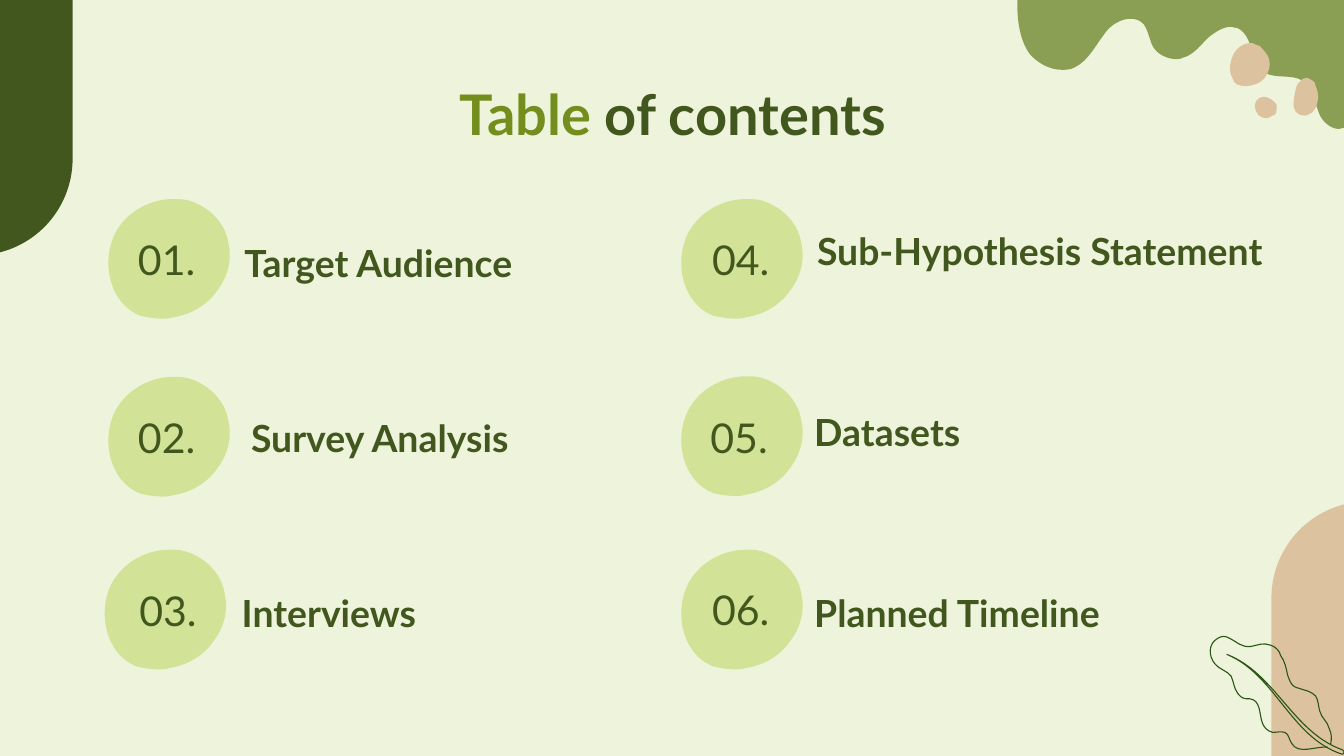
"""Build a table of contents slide with organic shapes."""
from pptx import Presentation
from pptx.dml.color import RGBColor
from pptx.enum.shapes import MSO_SHAPE
from pptx.enum.text import MSO_ANCHOR, MSO_AUTO_SIZE, PP_ALIGN
from pptx.oxml.ns import qn
from pptx.util import Pt

CREAM = RGBColor(0xEE, 0xF3, 0xDB)
DARK = RGBColor(0x41, 0x57, 0x1E)
MOSS = RGBColor(0x8A, 0x9F, 0x53)
SAND = RGBColor(0xDD, 0xC2, 0x9F)
LIME = RGBColor(0xD2, 0xE2, 0x96)
OLIVE = RGBColor(0x74, 0x8E, 0x1E)
PINE = RGBColor(0x2A, 0x57, 0x17)

UNIT = 0.72
INSET = Pt(7.2)
FRAME = {
    "word_wrap": True, "auto_size": MSO_AUTO_SIZE.NONE,
    "margin_left": INSET, "margin_right": INSET,
    "margin_top": INSET, "margin_bottom": INSET,
}
HEAD = {"name": "Lato", "size": Pt(30), "bold": True}
LABEL = {"name": "Lato", "size": Pt(20), "bold": True}
NUMBER = {"name": "Lato", "size": Pt(22), "bold": False}

WAVE = [
    (757, 4), (757, 16, 759, 30, 766, 40), (772, 47, 781, 52, 790, 52),
    (793, 52, 797, 52, 800, 50), (810, 45, 815, 34, 822, 25),
    (826, 19, 834, 14, 841, 14), (845, 14, 848, 15, 851, 18),
    (854, 22, 855, 28, 857, 33), (860, 40, 868, 44, 875, 44),
    (877, 44, 879, 44, 880, 43), (888, 41, 893, 34, 899, 28),
    (904, 24, 910, 20, 916, 20), (917, 20, 919, 21, 921, 21),
    (933, 27, 930, 46, 941, 54), (949, 59, 961, 55, 969, 60),
    (976, 65, 978, 75, 981, 83), (983, 90, 990, 96, 996, 96),
    (998, 96, 999, 96, 1001, 95), (1001, 0), (757, 0),
]
PEBBLES = [
    [(972, 58), (970, 58, 968, 59, 967, 61), (965, 63, 964, 65, 964, 67),
     (963, 72, 961, 79, 964, 83), (966, 85, 968, 86, 970, 86),
     (971, 86, 973, 86, 974, 85), (977, 84, 979, 81, 980, 77),
     (981, 74, 981, 70, 980, 67), (979, 65, 979, 63, 978, 61),
     (977, 60, 975, 59, 973, 58)],
    [(940, 72), (930, 73, 933, 88, 942, 88), (944, 88, 945, 87, 947, 86),
     (948, 86, 949, 85, 949, 85), (950, 83, 950, 80, 950, 78),
     (948, 75, 944, 72, 940, 72)],
    [(930, 32), (925, 32, 920, 36, 918, 40), (915, 46, 914, 53, 917, 58),
     (918, 63, 922, 64, 927, 64), (932, 64, 938, 62, 941, 58),
     (945, 53, 946, 46, 943, 41), (941, 38, 939, 36, 937, 34),
     (935, 34, 934, 33, 932, 32)],
]
LEAF = [
    (990, 554), (991, 550, 991, 546, 989, 542), (988, 537, 983, 534, 982, 529),
    (981, 526, 981, 521, 979, 518), (976, 515, 973, 514, 969, 513),
    (967, 512, 964, 512, 962, 510), (960, 508, 959, 505, 958, 502),
    (957, 497, 956, 492, 953, 488), (952, 484, 949, 481, 945, 480),
    (940, 478, 936, 480, 931, 481), (924, 482, 921, 478, 915, 475),
    (912, 473, 909, 473, 906, 475), (899, 479, 899, 488, 904, 494),
    (907, 498, 913, 499, 916, 503), (918, 507, 918, 512, 921, 516),
    (924, 520, 926, 520, 930, 520), (938, 521, 937, 531, 939, 537),
    (940, 541, 943, 544, 947, 545), (950, 545, 953, 544, 956, 545),
    (959, 546, 959, 550, 961, 553), (966, 562, 979, 555, 988, 556),
]
STEM = [
    (913, 487), (949, 502, 960, 548, 998, 561),
    (1000, 562, 1001, 559, 999, 558), (962, 545, 949, 501, 913, 487),
]
BLOB = [
    (54, 0), (36, 0, 19, 10, 11, 25), (0, 46, 6, 78, 30, 87),
    (35, 88, 40, 89, 45, 89), (48, 89, 51, 89, 54, 88),
    (67, 86, 79, 79, 86, 69), (94, 59, 98, 46, 95, 33),
    (93, 19, 82, 7, 68, 2), (63, 0, 59, 0, 54, 0),
]
ITEMS = [
    ("Target Audience", (54, 106.6), (61.9, 118.1), (123.8, 118.1), 238.3),
    ("Survey Analysis", (54, 201.9), (61.9, 213.1), (127.4, 211.7), 238.3),
    ("Interviews", (52, 294.5), (62.6, 306), (122.4, 305.3), 238.3),
    ("Sub-Hypothesis Statement", (360.9, 106.6), (369.4, 118.1), (430.6, 111.6), 295.9),
    ("Datasets", (360.9, 201.6), (368.6, 213.1), (429.1, 208.8), 238.3),
    ("Planned Timeline", (360.9, 294.5), (369.4, 305.3), (429.1, 305.3), 238.3),
]


def apply(item, form):
    """Set each attribute named in a format dict."""
    for key, value in form.items():
        setattr(item, key, value)


def paint(shape, fill=None, line=None):
    """Give a shape its fill and line without a shadow."""
    shape.shadow.inherit = False
    if fill is None:
        shape.fill.background()
    else:
        shape.fill.solid()
        shape.fill.fore_color.rgb = fill
    if line is None:
        shape.line.fill.background()
    else:
        shape.line.color.rgb = line
        shape.line.width = Pt(0.59)


def bend(shape, parts):
    """Turn the straight segments that have control points into curves."""
    nodes = list(shape._element.iter(qn("a:lnTo")))
    for node, part in zip(nodes, parts):
        if len(part) == 2:
            continue
        node.tag = qn("a:cubicBezTo")
        for index, (x, y) in enumerate(part[:2]):
            spot = {"x": str(x - shape.left), "y": str(y - shape.top)}
            node.insert(index, node.makeelement(qn("a:pt"), spot))


def add_form(slide, outline, fill=None, line=None, at=(0, 0), close=True):
    """Draw a curved outline moved to a place in points."""
    parts = [[(Pt(at[0] + UNIT * x), Pt(at[1] + UNIT * y))
              for x, y in zip(part[::2], part[1::2])] for part in outline]
    ends = [part[-1] for part in parts]
    pen = slide.shapes.build_freeform(*ends[0])
    pen.add_line_segments(ends[1:], close=close)
    shape = pen.convert_to_shape()
    bend(shape, [part if len(part) == 3 else part * 2 for part in parts[1:]])
    paint(shape, fill, line)


def add_arch(slide, left, top, fill, turn=0):
    """Draw a slab with two round corners."""
    arch = slide.shapes.add_shape(
        MSO_SHAPE.ROUND_2_SAME_RECTANGLE, Pt(left), Pt(top), Pt(106.6), Pt(138.2))
    arch.adjustments[0] = 0.486
    arch.rotation = turn
    paint(arch, fill)


def write(shape, runs, form, anchor, align):
    """Fill a shape with one paragraph of coloured runs."""
    frame = shape.text_frame
    apply(frame, {**FRAME, "vertical_anchor": anchor})
    para = frame.paragraphs[0]
    para.alignment = align
    for text, color in runs:
        run = para.add_run()
        run.text = text
        apply(run.font, form)
        run.font.color.rgb = color


def add_text(slide, text, at, width, form, anchor, align):
    """Add a dark text box."""
    box = slide.shapes.add_textbox(Pt(at[0]), Pt(at[1]), Pt(width), Pt(41.8))
    write(box, [(text, DARK)], form, anchor, align)


def add_title(slide):
    """Place and fill the title."""
    title = slide.shapes.title
    apply(title, {"left": Pt(56.9), "top": Pt(35.3),
                  "width": Pt(607), "height": Pt(45.4)})
    write(title, [("Table", OLIVE), (" of contents", DARK)], HEAD,
          MSO_ANCHOR.TOP, PP_ALIGN.CENTER)


def add_decor(slide):
    """Draw the corner shapes and the leaf."""
    add_arch(slide, -67.7, -1.4, DARK, 180)
    add_arch(slide, 681.1, 268.6, SAND)
    add_form(slide, WAVE, MOSS)
    for pebble in PEBBLES:
        add_form(slide, pebble, SAND)
    add_form(slide, LEAF, line=PINE, close=False)
    add_form(slide, STEM, line=PINE)


def main():
    """Build and save the slide."""
    deck = Presentation()
    apply(deck, {"slide_width": Pt(720), "slide_height": Pt(405)})
    slide = deck.slides.add_slide(deck.slide_layouts[5])
    slide.background.fill.solid()
    slide.background.fill.fore_color.rgb = CREAM
    add_decor(slide)
    add_title(slide)
    for count, (text, blob, num, label, width) in enumerate(ITEMS, 1):
        add_form(slide, BLOB, LIME, at=blob)
        add_text(slide, f"{count:02}.", num, 54.7, NUMBER,
                 MSO_ANCHOR.MIDDLE, PP_ALIGN.CENTER)
        add_text(slide, text, label, width, LABEL,
                 MSO_ANCHOR.BOTTOM, PP_ALIGN.LEFT)
    deck.save("out.pptx")


if __name__ == "__main__":
    main()
